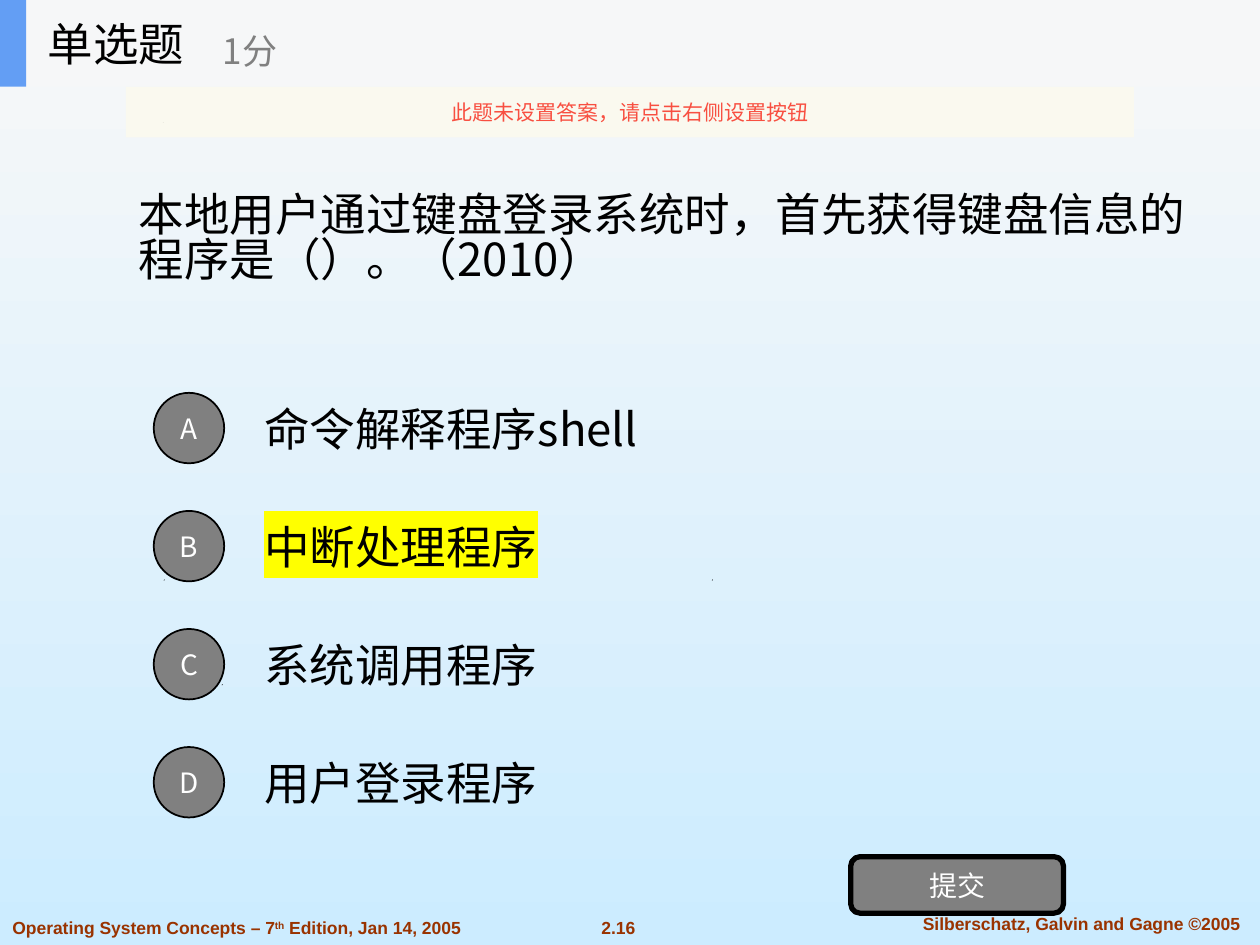
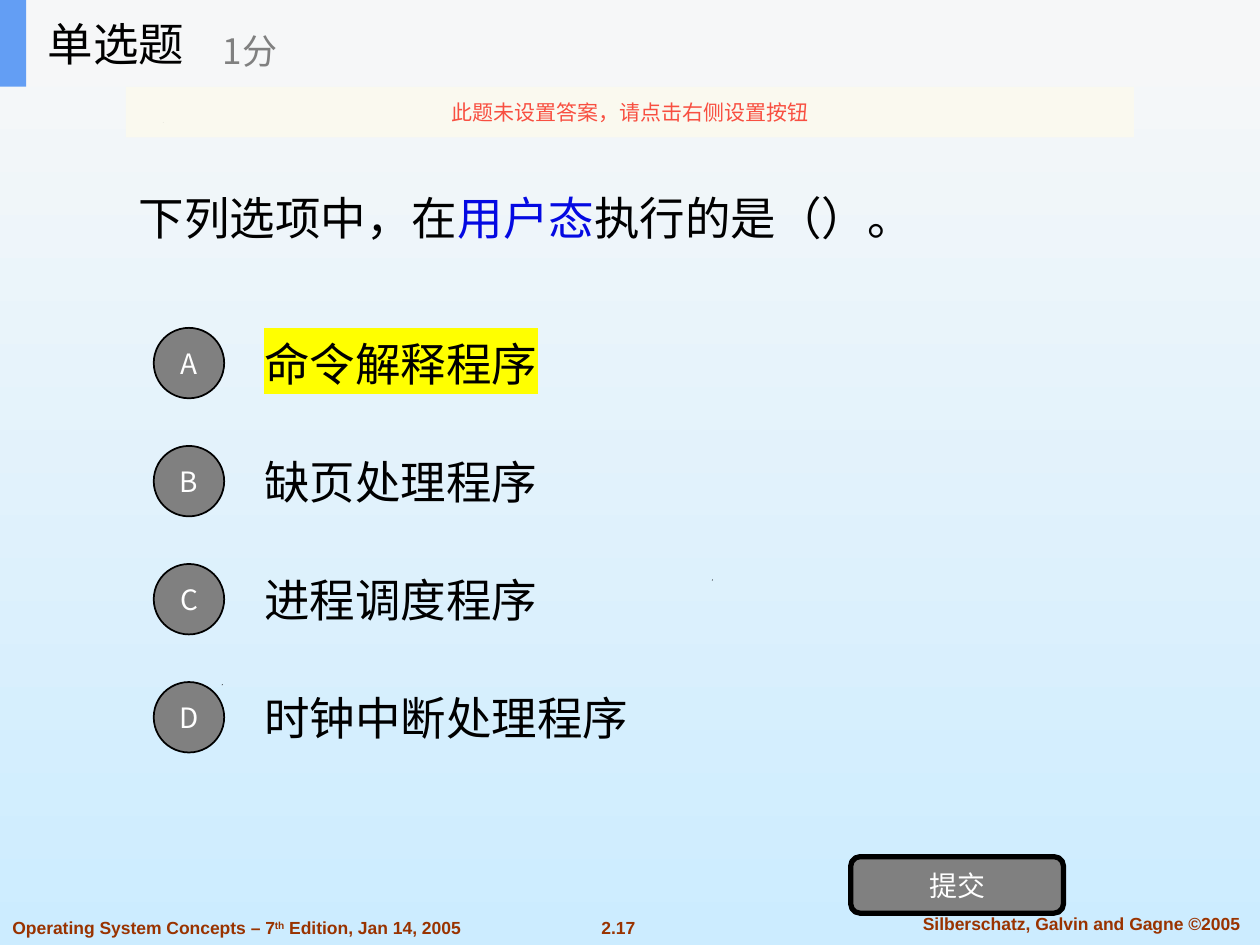
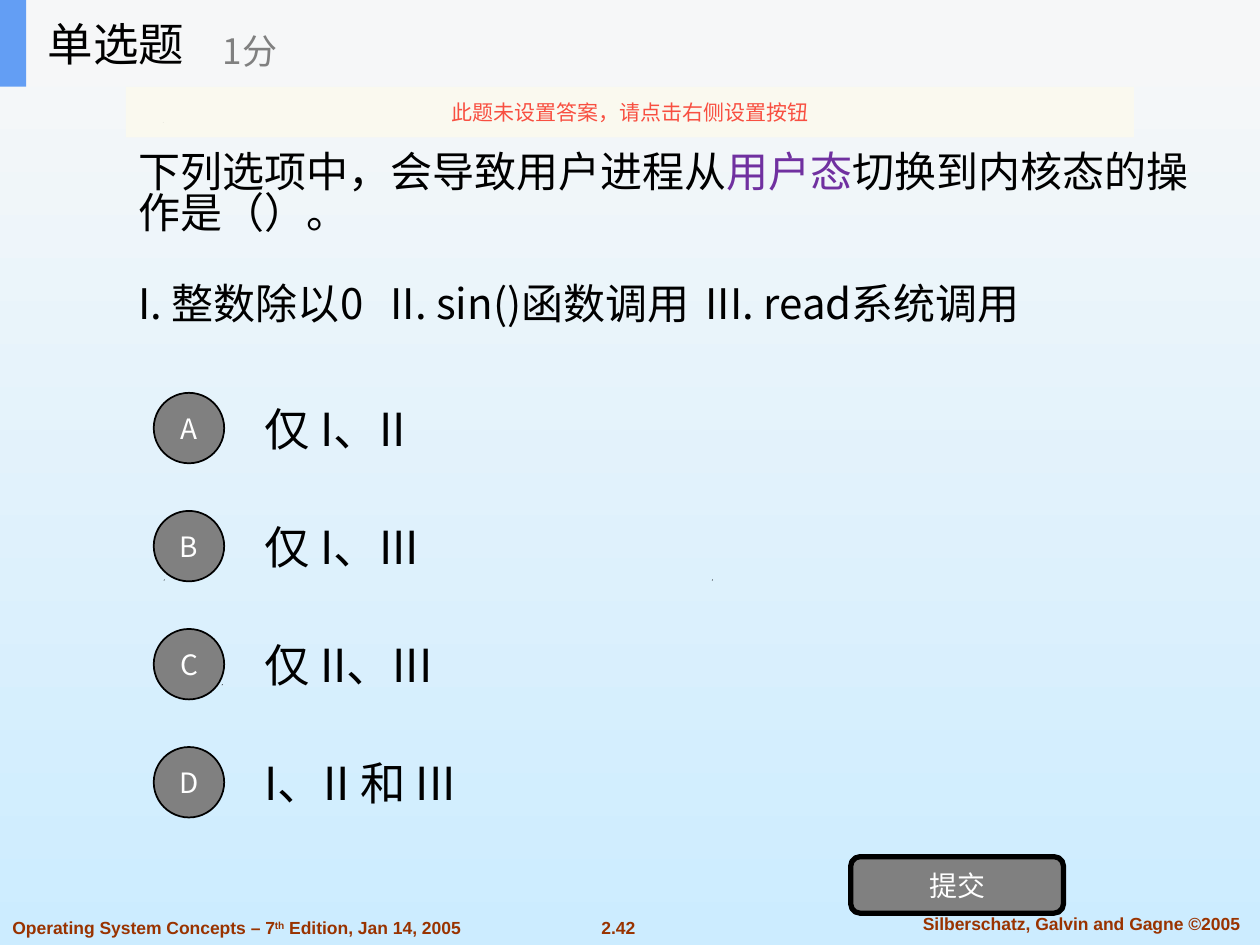
from lxml.etree import SubElement
from pptx import Presentation
from pptx.dml.color import RGBColor
from pptx.enum.shapes import MSO_SHAPE
from pptx.enum.text import MSO_ANCHOR, MSO_AUTO_SIZE, PP_ALIGN
from pptx.oxml import parse_xml
from pptx.oxml.ns import nsdecls, qn
from pptx.util import Cm, Pt

BLACK = RGBColor(0x00, 0x00, 0x00)
WHITE = RGBColor(0xFF, 0xFF, 0xFF)
GRAY = RGBColor(0x80, 0x80, 0x80)
SKY_TOP = RGBColor(0xF8, 0xF8, 0xF8)
SKY_BOTTOM = RGBColor(0xCC, 0xEC, 0xFF)
BAND = RGBColor(0xF6, 0xF7, 0xF8)
ACCENT = RGBColor(0x63, 0x9E, 0xF4)
NOTICE_FILL = RGBColor(0xFB, 0xFA, 0xEF)
NOTICE_TEXT = RGBColor(0xF8, 0x4F, 0x41)
FOOTER = RGBColor(0x99, 0x33, 0x00)
BLUE = RGBColor(0x04, 0x09, 0xE2)
PURPLE = RGBColor(0x70, 0x30, 0xA0)
YELLOW = RGBColor(0xFF, 0xFF, 0x00)

CJK_FONT = "Noto Sans CJK SC"
FOOTER_STYLE = dict(size=10, color=FOOTER, font="Arial", bold=True, anchor=MSO_ANCHOR.TOP)

BAND_HEIGHT = 1.75
OPTION_PITCH = 2.38
OPTION_HEIGHT = 1.78
BADGE_SIZE = 1.42
SPECKS = [(4.47, 13.79), (3.3, 11.68), (14.35, 11.68), (3.28, 2.46)]

QUESTIONS = [
    dict(
        number="2.16", box=(2.54, 1.75, 22, 5.94), size=26, options_top=7.74,
        stem=["本地用户通过键盘登录系统时，首先获得键盘信息的程序是（）。（2010）"],
        options=["命令解释程序shell", "中断处理程序", "系统调用程序", "用户登录程序"],
        marked="中断处理程序",
    ),
    dict(
        number="2.17", box=(2.54, 2.77, 20.32, 3.15), size=26, options_top=6.43,
        stem=[[("下列选项中，在", {}), ("用户态", {"color": BLUE}), ("执行的是（）。", {})]],
        options=["命令解释程序", "缺页处理程序", "进程调度程序", "时钟中断处理程序"],
        marked="命令解释程序",
    ),
    dict(
        number="2.42", box=(2.54, 1.75, 21.74, 5.94), size=24, options_top=7.74,
        stem=[
            [("下列选项中，会导致用户进程从", {}), ("用户态", {"color": PURPLE}),
             ("切换到内核态的操作是（）。", {})],
            "I. 整数除以0\tII. sin()函数调用\tIII. read系统调用",
        ],
        options=["仅 I、II", "仅 I、III", "仅 II、III", "I、II 和 III"],
        marked=None,
    ),
]


def format_run(run, size, color, font=CJK_FONT, bold=False, highlight=None, raised=False):
    run.font.size = Pt(size)
    run.font.bold = bold
    run.font.color.rgb = color
    run.font.name = font
    properties = run._r.get_or_add_rPr()
    latin = properties.find(qn("a:latin"))
    latin.addnext(parse_xml(f'<a:ea {nsdecls("a")} typeface="{font}"/>'))
    if highlight:
        latin.addprevious(parse_xml(
            f'<a:highlight {nsdecls("a")}><a:srgbClr val="{highlight}"/></a:highlight>'))
    if raised:
        properties.set("baseline", "30000")


def write_text(shape, paragraphs, align=PP_ALIGN.LEFT, anchor=MSO_ANCHOR.MIDDLE, **style):
    frame = shape.text_frame
    frame.word_wrap = True
    frame.auto_size = MSO_AUTO_SIZE.NONE
    frame.vertical_anchor = anchor
    if isinstance(paragraphs, str):
        paragraphs = [paragraphs]
    for index, runs in enumerate(paragraphs):
        paragraph = frame.add_paragraph() if index else frame.paragraphs[0]
        paragraph.alignment = align
        paragraph.space_before = Pt(0)
        for text, changes in [(runs, {})] if isinstance(runs, str) else runs:
            run = paragraph.add_run()
            run.text = text
            format_run(run, **{**style, **changes})


def place(shape, left, top, width, height):
    shape.left, shape.top, shape.width, shape.height = map(Cm, (left, top, width, height))


def add_label(slide, box, paragraphs, **style):
    label = slide.shapes.add_textbox(*map(Cm, box))
    write_text(label, paragraphs, **style)
    return label


def add_panel(slide, preset, box, fill, outline=None):
    panel = slide.shapes.add_shape(preset, *map(Cm, box))
    panel.shadow.inherit = False
    panel.fill.solid()
    panel.fill.fore_color.rgb = fill
    if outline:
        panel.line.color.rgb = BLACK
        panel.line.width = Pt(outline)
    else:
        panel.line.fill.background()
    return panel


def add_speck(slide, left, top):
    builder = slide.shapes.build_freeform(Cm(left), Cm(top + 0.02))
    builder.add_line_segments([(Cm(left + 0.02), Cm(top)), (Cm(left + 0.02), Cm(top + 0.02))])
    speck = builder.convert_to_shape()
    speck.shadow.inherit = False
    speck.fill.solid()
    speck.fill.fore_color.rgb = BLACK
    speck.line.fill.background()
    return speck


def set_background(master):
    sky = master.background.fill
    sky.gradient()
    sky.gradient_angle = 270
    for stop, color in zip(sky.gradient_stops, (SKY_TOP, SKY_BOTTOM)):
        stop.color.rgb = color


def move_decoration_to_layout(slide, layout):
    edition = [("Operating System Concepts – 7", {}), ("th", {"raised": True}),
               (" Edition, Jan 14, 2005", {})]
    decoration = [
        add_panel(slide, MSO_SHAPE.RECTANGLE, (0, 0, 25.4, BAND_HEIGHT), BAND),
        add_panel(slide, MSO_SHAPE.RECTANGLE, (0, 0, 0.53, BAND_HEIGHT), ACCENT),
        add_label(slide, (18.03, 18.29, 7.54, 0.69), "Silberschatz, Galvin and Gagne ©2005",
                  align=PP_ALIGN.CENTER, **FOOTER_STYLE),
        add_label(slide, (0, 18.36, 10.77, 0.69), [edition], **FOOTER_STYLE),
    ]
    decoration += [add_speck(slide, *spot) for spot in SPECKS]
    for shape_id, part in enumerate(decoration, 100):
        part._element.nvSpPr.cNvPr.set("id", str(shape_id))
        layout.shapes._spTree.append(part._element)


def add_heading(slide):
    title = slide.shapes.title
    place(title, 0.71, 0, 5.28, BAND_HEIGHT)
    write_text(title, "单选题", size=26, color=BLACK)
    add_label(slide, (4.24, 0.3, 6.35, 1.42), "1分", size=20, color=GRAY)


def add_stem(slide, box, paragraphs, size):
    stem = slide.placeholders[1]
    place(stem, *box)
    write_text(stem, paragraphs, size=size, color=BLACK)
    stem.text_frame.margin_top = Cm(0.4)
    for index, paragraph in enumerate(stem.text_frame.paragraphs):
        paragraph.line_spacing = 0.82
        paragraph.space_before = Pt(28.5 if index else 0)
        properties = paragraph._p.get_or_add_pPr()
        properties.set("marL", "0")
        properties.set("indent", "0")
        SubElement(properties, qn("a:buNone"))
        if "\t" in paragraph.text:
            tabs = SubElement(properties, qn("a:tabLst"))
            for position in (5.5, 12.5):
                SubElement(tabs, qn("a:tab"), pos=str(Cm(position)), algn="l")


def add_options(slide, top, options, marked):
    for row, (letter, answer) in enumerate(zip("ABCD", options)):
        y = top + row * OPTION_PITCH
        add_label(slide, (5.08, y, 17.78, OPTION_HEIGHT), answer, size=26, color=BLACK,
                  highlight=YELLOW if answer == marked else None)
        badge_top = y + (OPTION_HEIGHT - BADGE_SIZE) / 2
        badge = add_panel(slide, MSO_SHAPE.OVAL, (3.1, badge_top, BADGE_SIZE, BADGE_SIZE),
                          GRAY, outline=1)
        write_text(badge, letter, align=PP_ALIGN.CENTER, size=16, color=WHITE)


def add_submit_button(slide):
    button = add_panel(slide, MSO_SHAPE.ROUNDED_RECTANGLE, (17.15, 17.27, 4.29, 1.14),
                       GRAY, outline=3)
    write_text(button, "提交", align=PP_ALIGN.CENTER, size=16, color=WHITE)


def add_notice(slide):
    notice = add_panel(slide, MSO_SHAPE.RECTANGLE, (2.54, BAND_HEIGHT, 20.32, 1.02), NOTICE_FILL)
    tint = notice._element.spPr.find(qn("a:solidFill")).find(qn("a:srgbClr"))
    SubElement(tint, qn("a:alpha"), val="90000")
    write_text(notice, "此题未设置答案，请点击右侧设置按钮", align=PP_ALIGN.CENTER,
               size=12, color=NOTICE_TEXT)


def main():
    deck = Presentation()
    deck.slide_width, deck.slide_height = Cm(25.4), Cm(19.05)
    set_background(deck.slide_master)
    layout = deck.slide_layouts[1]
    slides = [deck.slides.add_slide(layout) for _ in QUESTIONS]
    move_decoration_to_layout(slides[0], layout)
    for slide, question in zip(slides, QUESTIONS):
        add_heading(slide)
        add_stem(slide, question["box"], question["stem"], question["size"])
        add_options(slide, question["options_top"], question["options"], question["marked"])
        add_submit_button(slide)
        add_notice(slide)
        add_label(slide, (11.79, 18.36, 1.35, 0.69), question["number"],
                  align=PP_ALIGN.CENTER, **FOOTER_STYLE)
    deck.save("out.pptx")


if __name__ == "__main__":
    main()
